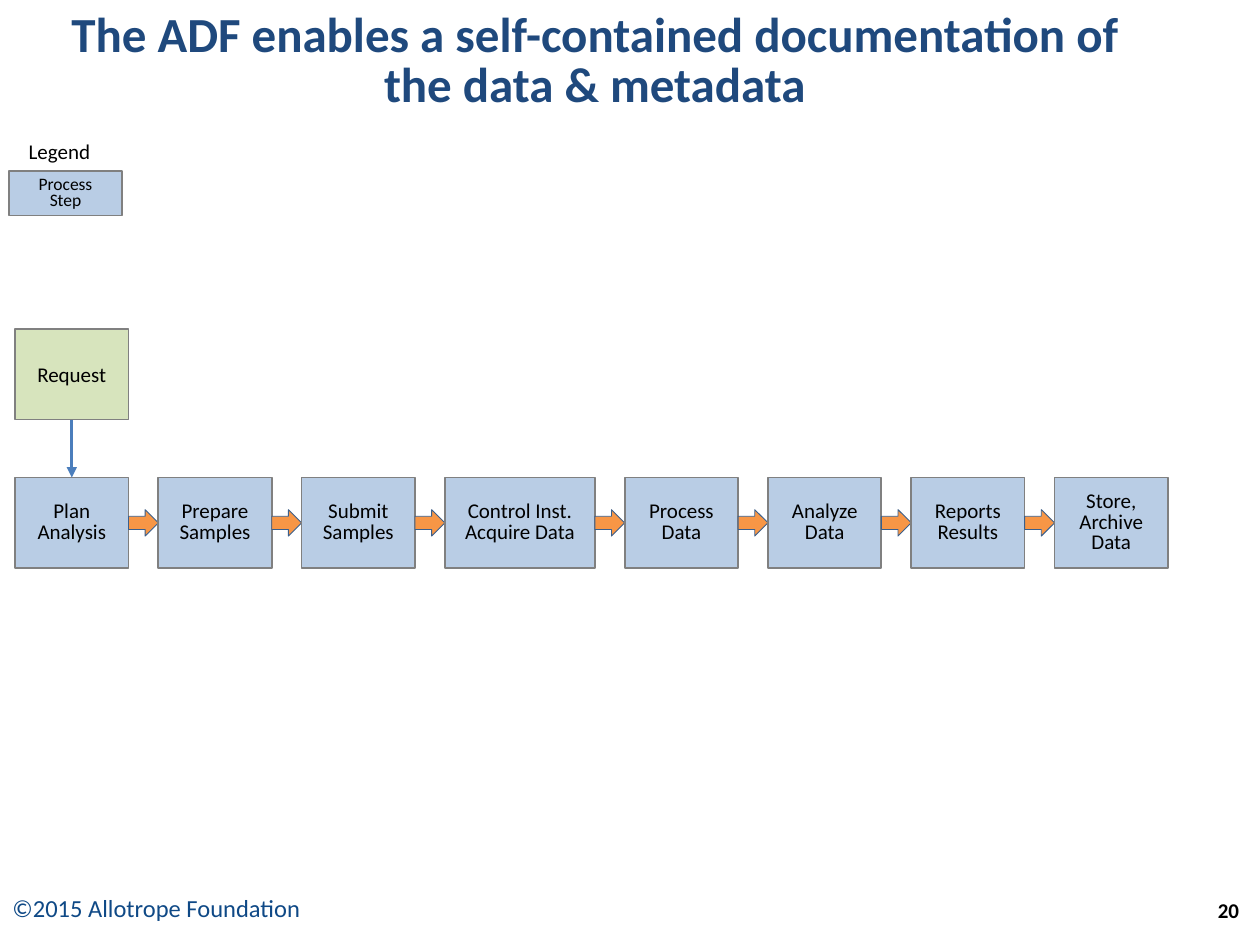
from dataclasses import dataclass

from lxml import etree
from pptx import Presentation
from pptx.dml.color import RGBColor
from pptx.enum.shapes import MSO_CONNECTOR, MSO_SHAPE
from pptx.enum.text import MSO_ANCHOR, MSO_AUTO_SIZE, PP_ALIGN
from pptx.oxml.ns import qn
from pptx.util import Emu, Pt

RECTANGLE, RIGHT_ARROW = MSO_SHAPE.RECTANGLE, MSO_SHAPE.RIGHT_ARROW
STRAIGHT = MSO_CONNECTOR.STRAIGHT
LEFT, CENTER = PP_ALIGN.LEFT, PP_ALIGN.CENTER
TOP, MIDDLE = MSO_ANCHOR.TOP, MSO_ANCHOR.MIDDLE
NO_AUTOFIT = MSO_AUTO_SIZE.NONE
EMU_PER_PX = 9144

STEPS = [
    ("Plan Analysis", 90), ("Prepare Samples", 90), ("Submit Samples", 90),
    ("Control Inst. Acquire Data", 119), ("Process Data", 90),
    ("Analyze Data", 90), ("Reports Results", 90), ("Store, Archive Data", 90),
]


@dataclass(frozen=True)
class Theme:
    """Colours and type sizes of the slide."""
    font: str = "Calibri"
    title: str = "1F497D"
    copyright: str = "0F4986"
    ink: str = "000000"
    step: str = "B9CDE5"
    request: str = "D7E4BD"
    border: str = "808080"
    link: str = "4B7EBC"
    arrow: str = "F79646"
    arrow_edge: str = "3A5F8C"
    title_size: int = 28
    copyright_size: int = 14
    body_size: int = 12
    legend_size: int = 10


THEME = Theme()


def px(length):
    """Turn px into EMU."""
    return Emu(round(length * EMU_PER_PX))


def write(frame, text, size, color=THEME.ink, bold=False, align=CENTER,
          anchor=MIDDLE, spacing=None, wrap=True):
    """Fill a text frame and format its runs."""
    frame.text = text
    frame.word_wrap = wrap
    frame.auto_size = NO_AUTOFIT
    frame.vertical_anchor = anchor
    for paragraph in frame.paragraphs:
        paragraph.alignment = align
        if spacing:
            paragraph.line_spacing = spacing
        for run in paragraph.runs:
            run.font.name = THEME.font
            run.font.size = Pt(size)
            run.font.bold = bold
            run.font.color.rgb = RGBColor.from_string(color)


def add_label(slide, box, text, size, **style):
    """Add a text box."""
    label = slide.shapes.add_textbox(*map(px, box))
    write(label.text_frame, text, size, **style)


def add_block(slide, kind, box, fill, edge, edge_width):
    """Add a filled and outlined shape without shadow."""
    block = slide.shapes.add_shape(kind, *map(px, box))
    block.shadow.inherit = False
    block.fill.solid()
    block.fill.fore_color.rgb = RGBColor.from_string(fill)
    block.line.color.rgb = RGBColor.from_string(edge)
    block.line.width = Pt(edge_width)
    return block


def add_card(slide, box, text, fill, size=THEME.body_size, spacing=0.8):
    """Add a bordered box with centred text."""
    card = add_block(slide, RECTANGLE, box, fill, THEME.border, 1)
    write(card.text_frame, text, size, spacing=spacing)
    return card


def add_title(slide, box):
    """Place and format the title placeholder."""
    title = slide.shapes.title
    title.left, title.top, title.width, title.height = map(px, box)
    write(title.text_frame,
          "The ADF enables a self-contained documentation of the data & metadata",
          THEME.title_size, color=THEME.title, bold=True, spacing=0.85)


def add_legend(slide, box):
    """Add the legend heading above its sample step."""
    left, top, width, height = box
    add_label(slide, (left + 6, top, 76, 30), "Legend", THEME.body_size,
              align=LEFT, anchor=TOP, wrap=False)
    sample = add_card(slide, (left, top + 31, width, height - 31),
                      "Process\nStep", THEME.step, THEME.legend_size)
    sample.text_frame.margin_left = sample.text_frame.margin_right = 0


def add_process(slide, box):
    """Spread the steps evenly over the box with an arrow in each gap."""
    left, top, width, height = box
    gap = (width - sum(step_width for _, step_width in STEPS)) / (len(STEPS) - 1)
    arrow_height = 21
    cards = []
    for text, step_width in STEPS:
        if cards:
            add_block(slide, RIGHT_ARROW,
                      (left - gap, top + (height - arrow_height) / 2, gap, arrow_height),
                      THEME.arrow, THEME.arrow_edge, 0.5)
        cards.append(add_card(slide, (left, top, step_width, height), text, THEME.step))
        left += step_width + gap
    return cards


def add_request(slide, box, first_step):
    """Add the request box and its arrow down to the first step."""
    request = add_card(slide, box, "Request", THEME.request, spacing=None)
    link = slide.shapes.add_connector(STRAIGHT, 0, 0, 0, 0)
    link.begin_connect(request, 2)
    link.end_connect(first_step, 0)
    link.line.color.rgb = RGBColor.from_string(THEME.link)
    link.line.width = Pt(1.5)
    etree.SubElement(link.line._get_or_add_ln(), qn("a:tailEnd"), type="triangle")
    etree.SubElement(link._element.spPr, qn("a:effectLst"))


def add_footer(slide, box):
    """Add the copyright line and the slide number."""
    left, top, width, height = box
    add_label(slide, (left, top + 9, 321, 34), "©2015 Allotrope Foundation",
              THEME.copyright_size, color=THEME.copyright, align=LEFT, anchor=TOP)
    add_label(slide, (left + width - 50, top, 50, height), "20",
              THEME.body_size, bold=True)


def main():
    """Build and save the slide."""
    deck = Presentation()
    deck.slide_width, deck.slide_height = px(1000), px(750)
    slide = deck.slides.add_slide(deck.slide_layouts[5])
    add_title(slide, (17, 8, 910, 83))
    add_legend(slide, (7, 105, 90, 66))
    steps = add_process(slide, (12, 379, 915, 72))
    add_request(slide, (12, 261, 90, 72), steps[0])
    add_footer(slide, (0, 695, 1000, 54))
    deck.save("out.pptx")


if __name__ == "__main__":
    main()
